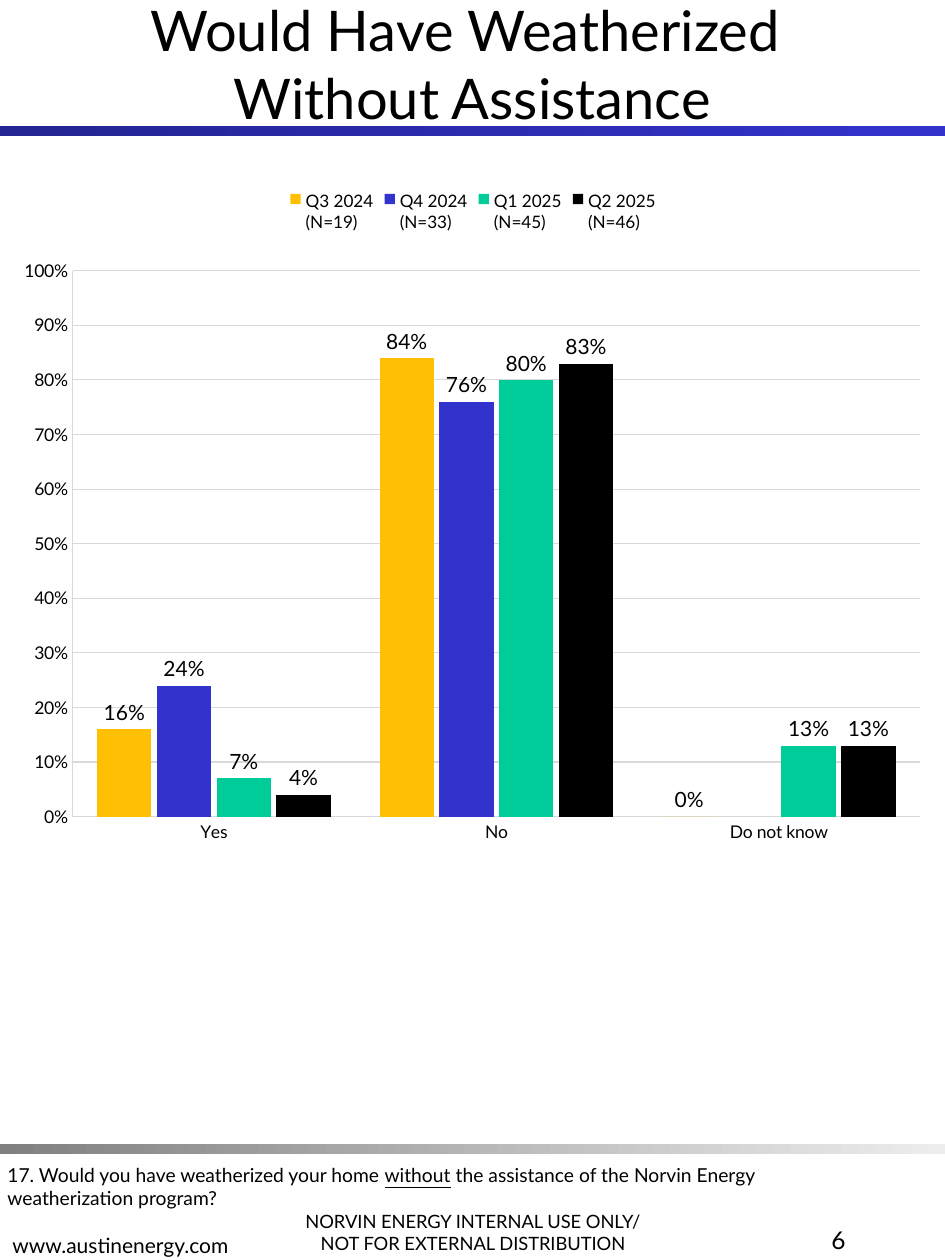
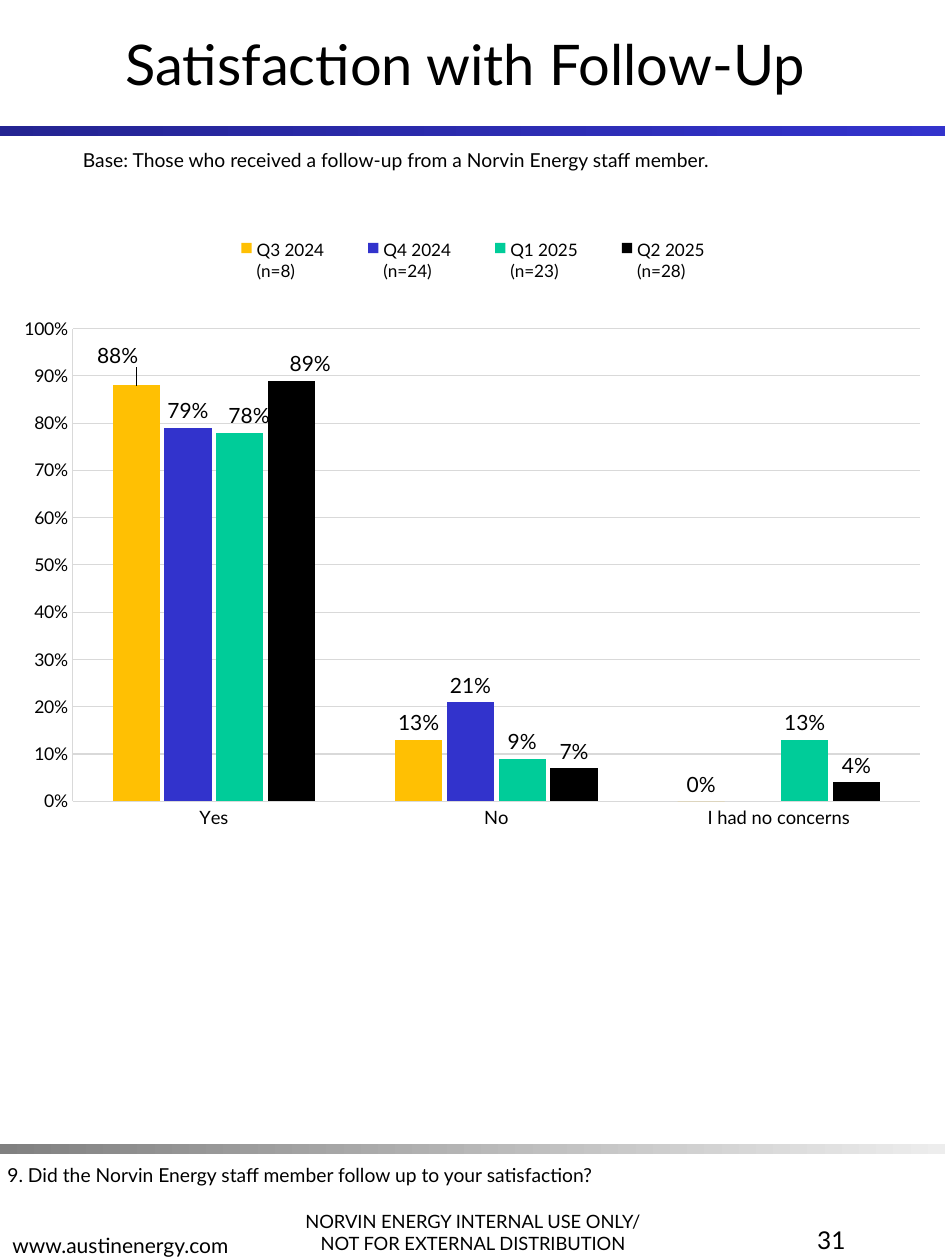
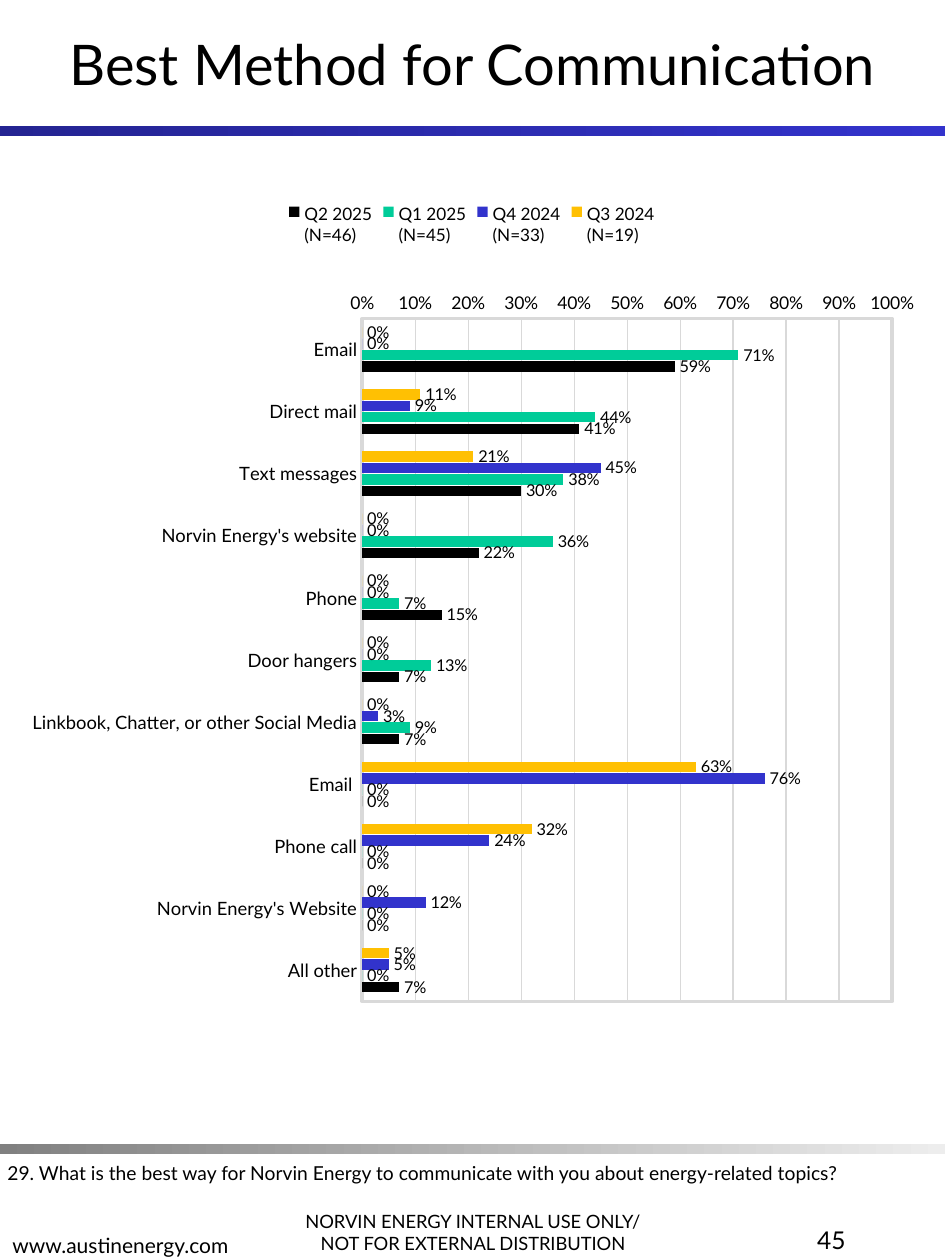
from lxml import etree
from pptx import Presentation
from pptx.chart.data import CategoryChartData
from pptx.dml.color import RGBColor
from pptx.enum.chart import (XL_AXIS_CROSSES, XL_CHART_TYPE, XL_LABEL_POSITION,
                             XL_LEGEND_POSITION, XL_TICK_MARK)
from pptx.enum.shapes import MSO_SHAPE
from pptx.enum.text import MSO_ANCHOR, PP_ALIGN
from pptx.oxml import parse_xml
from pptx.oxml.ns import nsdecls, qn
from pptx.util import Emu, Pt

LEFT, CENTER, RIGHT = PP_ALIGN.LEFT, PP_ALIGN.CENTER, PP_ALIGN.RIGHT
TOP, MIDDLE, BOTTOM = MSO_ANCHOR.TOP, MSO_ANCHOR.MIDDLE, MSO_ANCHOR.BOTTOM
COLUMNS, BARS = XL_CHART_TYPE.COLUMN_CLUSTERED, XL_CHART_TYPE.BAR_CLUSTERED
LEGEND_TOP = XL_LEGEND_POSITION.TOP
OUTSIDE_END = XL_LABEL_POSITION.OUTSIDE_END
NO_TICK = XL_TICK_MARK.NONE
CROSS_MAX = XL_AXIS_CROSSES.MAXIMUM

PX = 9144  # 100 px to the inch
FONT, BLACK, GRID = "Lato", "000000", "D9D9D9"
BLUE_BAND, GREY_BAND = ("242492", "3333CC"), ("808080", "EDEDED")
QUARTERS = ("Q3 2024", "Q4 2024", "Q1 2025", "Q2 2025")
QUARTER_COLORS = ("FFC003", "3233CC", "00CC99", "000000")
PERCENT = "0%"


def rgb(color):
    return RGBColor.from_string(color)


def px(*lengths):
    return [Emu(n * PX) for n in lengths]


def style_font(font, size, color=BLACK):
    font.name, font.size, font.bold = FONT, Pt(size), False
    font.color.rgb = rgb(color)


def style_line(line, width, color=GRID):
    line.color.rgb = rgb(color)
    line.width = Pt(width)


def manual_layout(x, y, w=None, h=None, inner=False):
    """Chart layout in fractions; without a size, x and y are offsets."""
    layout = etree.Element(qn("c:layout"))
    manual = etree.SubElement(layout, qn("c:manualLayout"))
    values = [("layoutTarget", "inner")] if inner else []
    if w is not None:
        values += [("xMode", "edge"), ("yMode", "edge")]
    values += [("x", x), ("y", y)]
    if w is not None:
        values += [("w", w), ("h", h)]
    for tag, value in values:
        etree.SubElement(manual, qn("c:" + tag)).set("val", str(value))
    return layout


class Deck:
    def __init__(self):
        self.prs = Presentation()
        self.prs.slide_width, self.prs.slide_height = px(750, 1000)
        self.s = None

    def slide(self, title, number, question, question_top=918):
        self.s = self.prs.slides.add_slide(self.prs.slide_layouts[5])
        self.band(100, BLUE_BAND)
        self.band(908, GREY_BAND)
        self.text((216, 933, 319, 67), ["NORVIN ENERGY INTERNAL USE ONLY/",
                                        "NOT FOR EXTERNAL DISTRIBUTION"],
                  10.5, CENTER, BOTTOM)
        self.text((0, 936, 319, 67), ["www.austinenergy.com"], 12, LEFT, BOTTOM)
        self.title(title)
        self.text((525, 967, 156, 67), [str(number)], 14, RIGHT)
        self.text((-4, question_top, 685, 29), [question], 11)

    def title(self, lines):
        sp = self.s.shapes.title
        sp.left, sp.top, sp.width, sp.height = px(0, 0, 750, 100)
        tf = sp.text_frame
        tf.word_wrap, tf.vertical_anchor = True, MIDDLE
        p = tf.paragraphs[0]
        p.alignment = CENTER
        for i, line in enumerate(lines):
            if i:
                p.add_line_break()
            r = p.add_run()
            r.text = line
            style_font(r.font, 32)

    def band(self, top, colors):
        sp = self.s.shapes.add_shape(MSO_SHAPE.RECTANGLE, *px(0, top, 750, 8))
        sp.shadow.inherit = False
        sp.line.fill.background()
        sp.fill.gradient()
        sp.fill.gradient_angle = 0
        for stop, color in zip(sp.fill.gradient_stops, colors):
            stop.color.rgb = rgb(color)

    def text(self, box, paragraphs, size, align=LEFT, anchor=TOP):
        """A paragraph is a string, or a list of runs whose odd ones are underlined."""
        tf = self.s.shapes.add_textbox(*px(*box)).text_frame
        tf.word_wrap, tf.vertical_anchor = True, anchor
        for i, runs in enumerate(paragraphs):
            p = tf.add_paragraph() if i else tf.paragraphs[0]
            p.alignment = align
            for j, words in enumerate([runs] if isinstance(runs, str) else runs):
                r = p.add_run()
                r.text = words
                style_font(r.font, size)
                if j % 2:
                    r.font.underline = True

    def chart(self, kind, box, categories, counts, values, plot_area, gap,
              label_size=12, category_size=10.5):
        data = CategoryChartData(number_format=PERCENT)
        data.categories = categories
        for quarter, count, series_values in zip(QUARTERS, counts, values):
            data.add_series(f"{quarter}\n({count})", series_values)
        chart = self.s.shapes.add_chart(kind, *px(*box), data).chart
        style_font(chart.font, 10)
        chart.has_title = False
        chart.has_legend = True
        chart.legend.position = LEGEND_TOP
        chart.legend.include_in_layout = False
        style_font(chart.legend.font, 9.8)
        self.axes(chart, category_size)

        plot = chart.plots[0]
        plot.gap_width, plot.overlap, plot.vary_by_categories = gap, -10, False
        for series, color in zip(plot.series, QUARTER_COLORS):
            series.format.fill.solid()
            series.format.fill.fore_color.rgb = rgb(color)
            series.invert_if_negative = False
            labels = series.data_labels
            labels.show_value, labels.position = True, OUTSIDE_END
            labels.number_format, labels.number_format_is_linked = PERCENT, False
            style_font(labels.font, label_size)

        area = chart.element.find(".//" + qn("c:plotArea"))
        for old in area.findall(qn("c:layout")):
            area.remove(old)
        area.insert(0, manual_layout(*plot_area, inner=True))
        return chart

    def axes(self, chart, category_size):
        cat, val = chart.category_axis, chart.value_axis
        for axis, size, width in ((cat, category_size, 0.62), (val, 10, 0.41)):
            axis.major_tick_mark = axis.minor_tick_mark = NO_TICK
            style_font(axis.tick_labels.font, size)
            style_line(axis.format.line, width)
        val.minimum_scale, val.maximum_scale, val.major_unit = 0, 1, 0.1
        val.has_major_gridlines = True
        style_line(val.major_gridlines.format.line, 0.62)
        val.tick_labels.number_format = PERCENT
        val.tick_labels.number_format_is_linked = False

    def move_label(self, chart, series_index, dx, dy):
        """Shift the label of the first point of a series."""
        label = chart.plots[0].series[series_index].points[0].data_label
        style_font(label.font, 12)
        label.position = OUTSIDE_END
        dlbl = chart.plots[0].series[series_index].data_labels._element.find(qn("c:dLbl"))
        dlbl.find(qn("c:idx")).addnext(manual_layout(dx, dy))

    def place_legend(self, chart, x, y, w, h):
        legend = chart.legend._element
        for old in legend.findall(qn("c:layout")):
            legend.remove(old)
        legend.find(qn("c:legendPos")).addnext(manual_layout(x, y, w, h))

    def frame_plot(self, chart):
        chart.element.find(".//" + qn("c:plotArea")).append(parse_xml(
            f'<c:spPr {nsdecls("c", "a")}><a:noFill/><a:ln w="25400"><a:solidFill>'
            f'<a:srgbClr val="{GRID}"/></a:solidFill></a:ln></c:spPr>'))


def main():
    deck = Deck()
    everyone = ("N=19", "N=33", "N=45", "N=46")

    deck.slide(["Would Have Weatherized ", "Without Assistance"], 6,
               ["17. Would you have weatherized your home ", "without",
                " the assistance of the Norvin Energy weatherization program?"])
    deck.chart(COLUMNS, (6, 140, 739, 535), ["Yes", "No", "Do not know"], everyone,
               [(0.16, 0.84, 0), (0.24, 0.76, None),
                (0.07, 0.8, 0.13), (0.04, 0.83, 0.13)],
               (0.07, 0.14, 0.91, 0.81), gap=90, category_size=10)

    deck.slide(["Satisfaction with Follow-Up "], 31,
               "9. Did the Norvin Energy staff member follow up to your satisfaction?")
    chart = deck.chart(COLUMNS, (6, 158, 739, 514), ["Yes", "No", "I had no concerns"],
                       ("n=8", "n=24", "n=23", "n=28"),
                       [(0.88, 0.13, 0), (0.79, 0.21, None),
                        (0.78, 0.09, 0.13), (0.89, 0.07, 0.04)],
                       (0.07, 0.2, 0.91, 0.73), gap=170)
    deck.place_legend(chart, 0.21, 0.05, 0.58, 0.09)
    for series_index, dx, dy in ((0, -0.02, -0.02), (2, 0.01, 0), (3, 0.02, 0)):
        deck.move_label(chart, series_index, dx, dy)
    deck.text((56, 113, 644, 29),
              ["Base: Those who received a follow-up from a Norvin Energy staff member."], 11)

    deck.slide(["Best Method for Communication"], 45,
               "29. What is the best way for Norvin Energy to communicate with you "
               "about energy-related topics?", 917)
    methods = ["Email", "Direct mail", "Text messages", "Norvin Energy's website",
               "Phone", "Door hangers", "Linkbook, Chatter, or other Social Media",
               "Email ", "Phone call", "Norvin Energy's Website", "All other"]
    chart = deck.chart(BARS, (12, 150, 725, 686), methods, everyone,
                       [(0, 0.11, 0.21, 0, 0, 0, 0, 0.63, 0.32, 0, 0.05),
                        (0, 0.09, 0.45, 0, 0, 0, 0.03, 0.76, 0.24, 0.12, 0.05),
                        (0.71, 0.44, 0.38, 0.36, 0.07, 0.13, 0.09, 0, 0, 0, 0),
                        (0.59, 0.41, 0.3, 0.22, 0.15, 0.07, 0.07, 0, 0, 0, 0.07)],
                       (0.38, 0.15, 0.58, 0.79), gap=170, label_size=9.3)
    chart.category_axis.reverse_order = True
    chart.category_axis.crosses = CROSS_MAX
    deck.frame_plot(chart)

    deck.prs.save("out.pptx")


if __name__ == "__main__":
    main()
